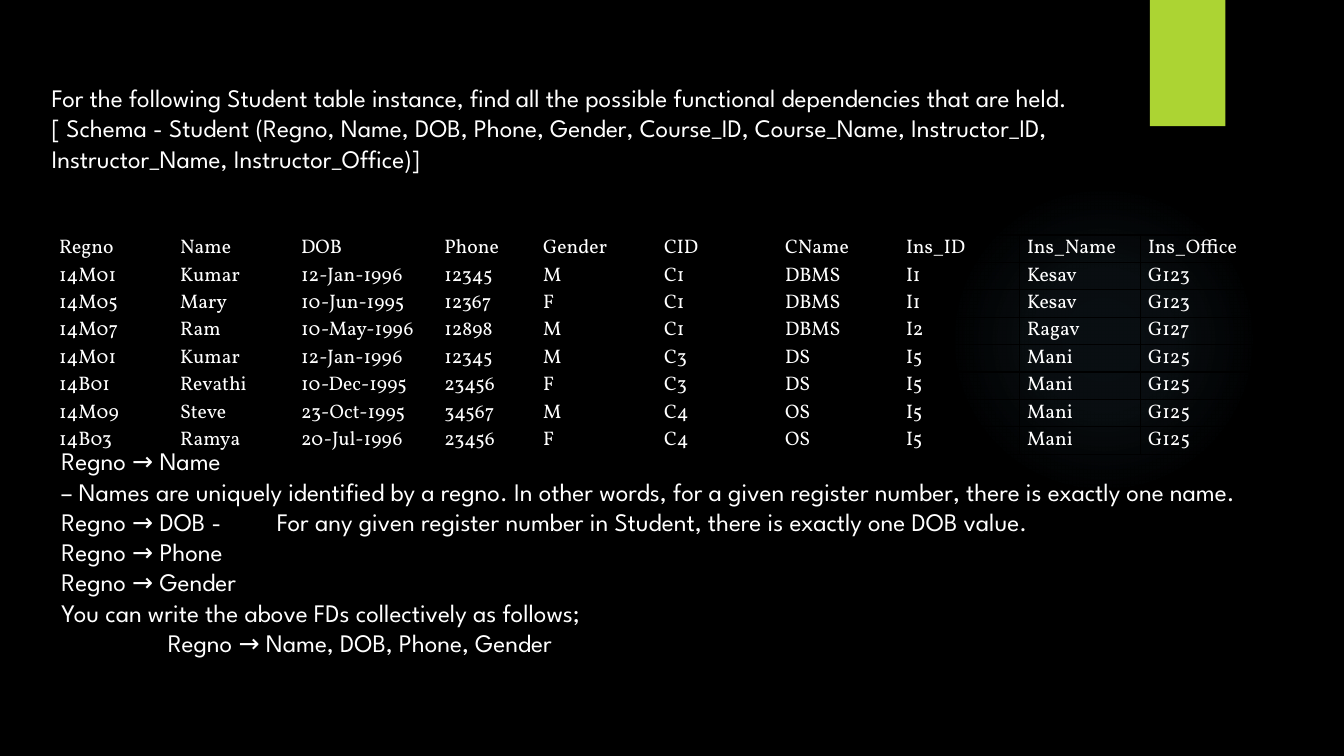
from lxml import etree
from pptx import Presentation
from pptx.dml.color import RGBColor
from pptx.enum.shapes import MSO_SHAPE
from pptx.enum.text import MSO_ANCHOR, PP_ALIGN
from pptx.oxml import parse_xml
from pptx.oxml.ns import qn
from pptx.util import Cm, Pt

RECTANGLE, ELLIPSE = MSO_SHAPE.RECTANGLE, MSO_SHAPE.OVAL
TOP = MSO_ANCHOR.TOP
LEFT, JUSTIFY = PP_ALIGN.LEFT, PP_ALIGN.JUSTIFY
DRAWING = "http://schemas.openxmlformats.org/drawingml/2006/main"

COLOURS = {"back": "000000", "text": "FFFFFF", "accent": "ACD433", "glow": "7AC4F0"}
SANS, SERIF = "League Spartan", "Vollkorn"

QUESTION = [
    "For the following Student table instance, find all the possible functional dependencies that are held.",
    "[ Schema - Student (Regno, Name, DOB, Phone, Gender, Course_ID, Course_Name, "
    "Instructor_ID, Instructor_Name, Instructor_Office)]",
]
COLUMN_WIDTHS = [3.05, 3.05, 3.61, 2.49] + [3.05] * 6
STUDENTS = [
    ["Regno", "Name", "DOB", "Phone", "Gender", "CID", "CName", "Ins_ID", "Ins_Name", "Ins_Office"],
    ["14M01", "Kumar", "12-Jan-1996", "12345", "M", "C1", "DBMS", "I1", "Kesav", "G123"],
    ["14M05", "Mary", "10-Jun-1995", "12367", "F", "C1", "DBMS", "I1", "Kesav", "G123"],
    ["14M07", "Ram", "10-May-1996", "12898", "M", "C1", "DBMS", "I2", "Ragav", "G127"],
    ["14M01", "Kumar", "12-Jan-1996", "12345", "M", "C3", "DS", "I5", "Mani", "G125"],
    ["14B01", "Revathi", "10-Dec-1995", "23456", "F", "C3", "DS", "I5", "Mani", "G125"],
    ["14M09", "Steve", "23-Oct-1995", "34567", "M", "C4", "OS", "I5", "Mani", "G125"],
    ["14B03", "Ramya", "20-Jul-1996", "23456", "F", "C4", "OS", "I5", "Mani", "G125"],
]
DEPENDENCIES = [
    ("Regno → Name", {}),
    ("– Names are uniquely identified by a regno. In other words, for a given register number, "
     "there is exactly one name.", {}),
    ("Regno → DOB -\tFor any given register number in Student, there is exactly one DOB value.",
     {"tab": 5.43}),
    ("Regno → Phone", {}),
    ("Regno → Gender", {}),
    ("You can write the above FDs collectively as follows;", {}),
    ("Regno → Name, DOB, Phone, Gender", {"indent": 2.68}),
]


def colour(name):
    return RGBColor.from_string(COLOURS[name])


def write(para, text, font=SANS, size=18, align=LEFT, indent=0, tab=0):
    para.alignment = align
    span = para.add_run()
    span.text = text
    span.font.name = font
    span.font.size = Pt(size)
    span.font.color.rgb = colour("text")
    properties = para._p.get_or_add_pPr()
    if indent:
        properties.set("marL", str(Cm(indent)))
    if tab:
        stops = etree.SubElement(properties, qn("a:tabLst"))
        etree.SubElement(stops, qn("a:tab"), pos=str(Cm(tab)), algn="l")


def add_text(page, left, top, width, height, lines, inset_x=0.0, inset_y=0.0):
    box = page.shapes.add_textbox(Cm(left), Cm(top), Cm(width), Cm(height))
    frame = box.text_frame
    frame.word_wrap = True
    frame.vertical_anchor = TOP
    frame.margin_left = frame.margin_right = Cm(inset_x)
    frame.margin_top = frame.margin_bottom = Cm(inset_y)
    for index, (text, style) in enumerate(lines):
        para = frame.add_paragraph() if index else frame.paragraphs[0]
        write(para, text, **style)


def add_plain_shape(page, kind, left, top, width, height):
    shape = page.shapes.add_shape(kind, Cm(left), Cm(top), Cm(width), Cm(height))
    shape.shadow.inherit = False
    shape.line.fill.background()
    return shape


def add_glow(page, left, top, size):
    glow = add_plain_shape(page, ELLIPSE, left, top, size, size)
    stops = "".join(
        f'<a:gs pos="{place * 1000}"><a:srgbClr val="{COLOURS["glow"]}">'
        f'<a:alpha val="{alpha * 1000}"/></a:srgbClr></a:gs>'
        for place, alpha in [(0, 7), (36, 6), (69, 0)]
    )
    gradient = parse_xml(
        f'<a:gradFill xmlns:a="{DRAWING}" rotWithShape="1"><a:gsLst>{stops}</a:gsLst>'
        '<a:path path="circle"><a:fillToRect l="50000" t="50000" r="50000" b="50000"/></a:path>'
        "</a:gradFill>"
    )
    glow._element.spPr.find(qn("a:prstGeom")).addnext(gradient)


def add_ribbon(page, left, top, width, height):
    ribbon = add_plain_shape(page, RECTANGLE, left, top, width, height)
    ribbon.fill.solid()
    ribbon.fill.fore_color.rgb = colour("accent")


def border_cell(cell):
    properties = cell._tc.get_or_add_tcPr()
    for index, side in enumerate(["lnL", "lnR", "lnT", "lnB"]):
        properties.insert(index, parse_xml(
            f'<a:{side} xmlns:a="{DRAWING}" w="{Pt(1)}"><a:solidFill>'
            f'<a:srgbClr val="{COLOURS["back"]}"/></a:solidFill></a:{side}>'
        ))


def add_student_table(page, left, top, width, height):
    frame = page.shapes.add_table(
        len(STUDENTS), len(COLUMN_WIDTHS), Cm(left), Cm(top), Cm(width), Cm(height))
    table = frame.table
    table.first_row = table.horz_banding = False
    for column, share in zip(table.columns, COLUMN_WIDTHS):
        column.width = Cm(width * share / sum(COLUMN_WIDTHS))
    for row, values in zip(table.rows, STUDENTS):
        row.height = Cm(height / len(STUDENTS))
        for cell, value in zip(row.cells, values):
            cell.margin_left = cell.margin_right = Cm(0.19)
            cell.margin_top = cell.margin_bottom = 0
            cell.fill.background()
            border_cell(cell)
            write(cell.text_frame.paragraphs[0], value, font=SERIF, size=14, align=JUSTIFY)


def main():
    deck = Presentation()
    deck.slide_width, deck.slide_height = Cm(33.87), Cm(19.05)
    page = deck.slides.add_slide(deck.slide_layouts[6])
    page.background.fill.solid()
    page.background.fill.fore_color.rgb = colour("back")
    add_glow(page, 23.9, 4.65, 7.82)
    add_ribbon(page, 28.98, 0, 1.9, 3.18)
    add_student_table(page, 1.3, 5.92, 30.5, 5.13)
    add_text(page, 1.3, 2.08, 27.33, 2.3, [(line, {}) for line in QUESTION])
    add_text(page, 1.3, 11.1, 31.45, 7.19, DEPENDENCIES, inset_x=0.25, inset_y=0.13)
    deck.save("out.pptx")


if __name__ == "__main__":
    main()
